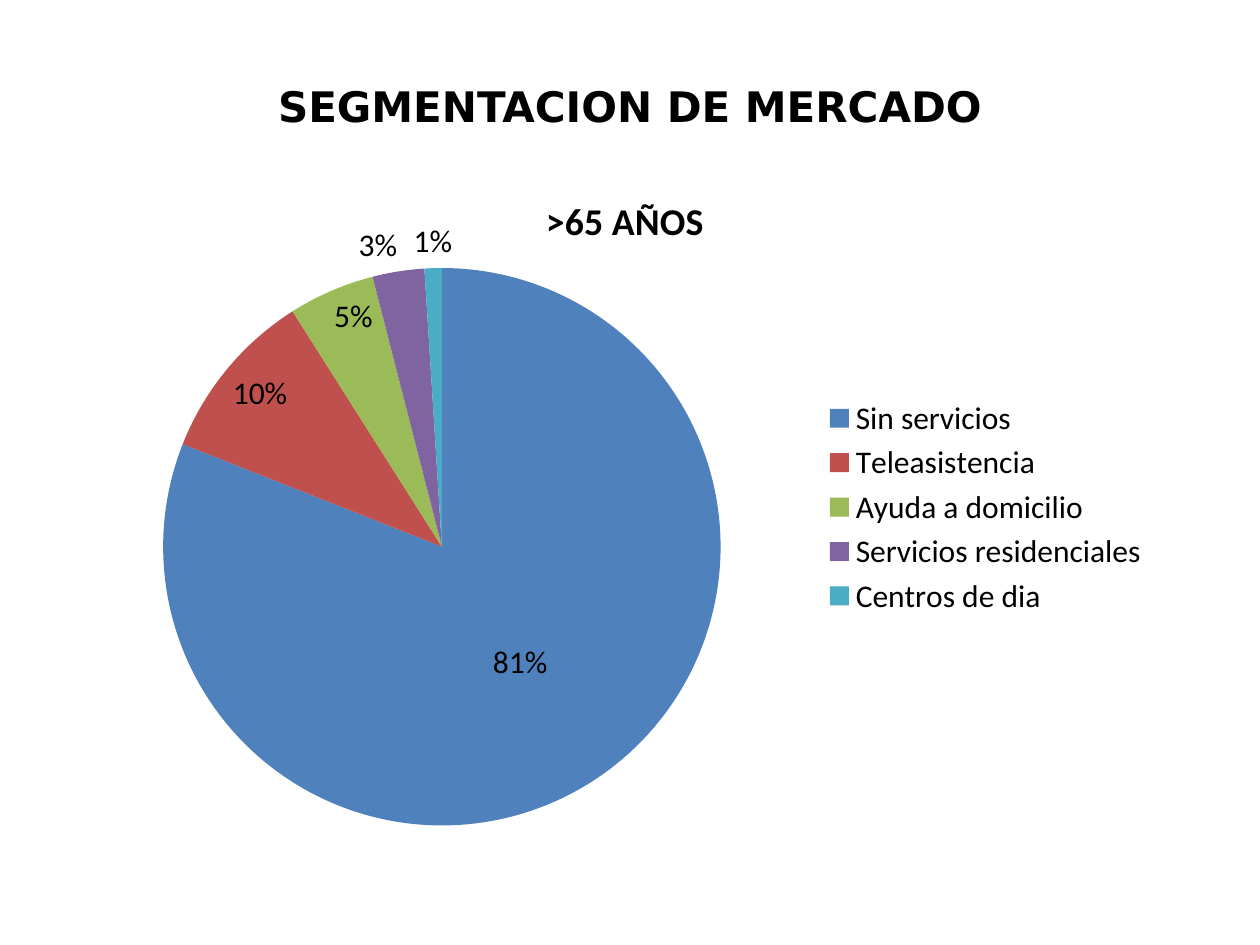
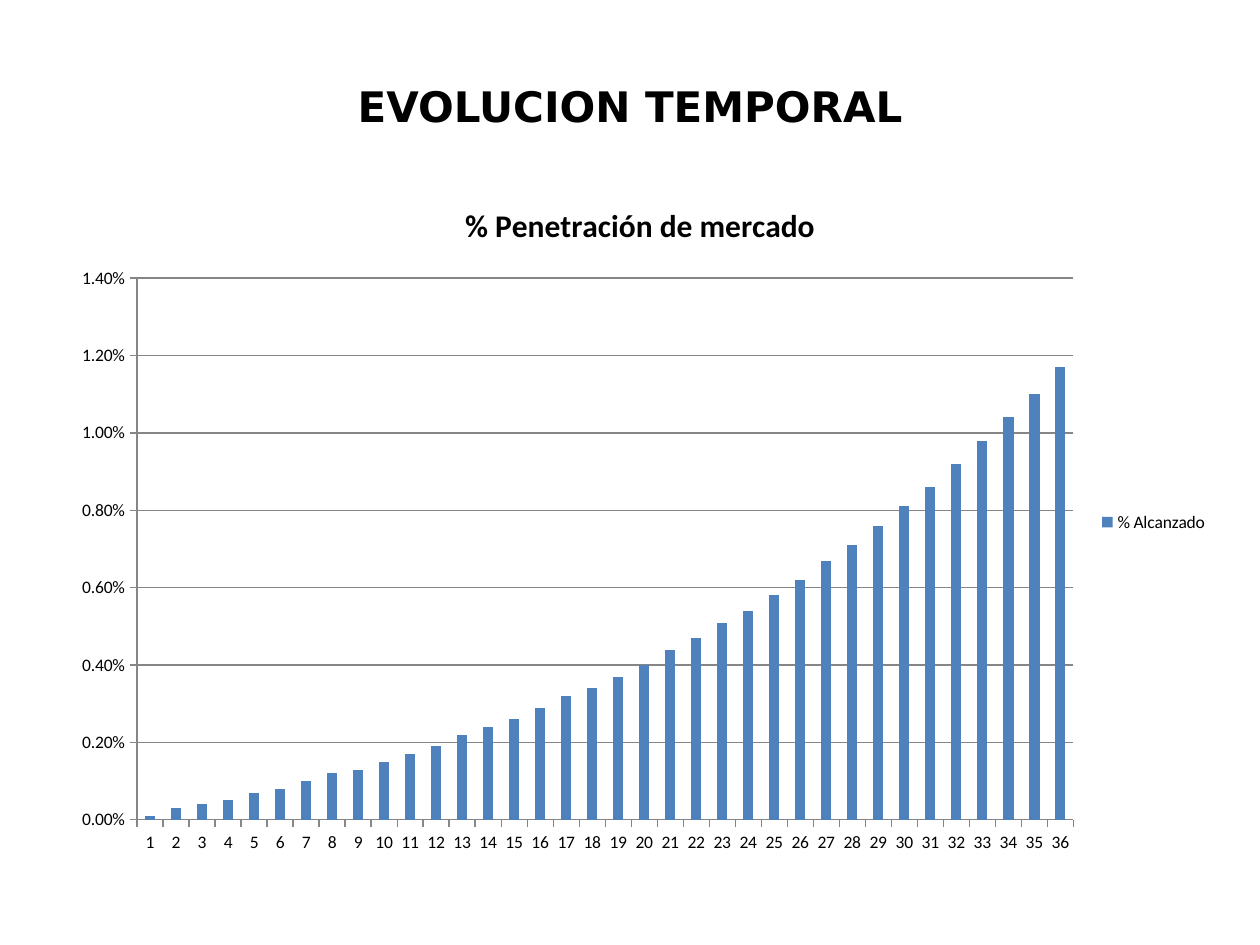
from dataclasses import dataclass

from lxml.etree import SubElement
from pptx import Presentation
from pptx.chart.data import CategoryChartData
from pptx.dml.color import RGBColor
from pptx.enum.chart import XL_CHART_TYPE, XL_LABEL_POSITION, XL_LEGEND_POSITION, XL_TICK_MARK
from pptx.enum.text import MSO_ANCHOR, PP_ALIGN
from pptx.oxml.ns import qn
from pptx.util import Inches, Pt

SLIDE_WIDTH = Inches(10)
SLIDE_HEIGHT = Inches(7.5)
COLUMN = SLIDE_WIDTH / 100
ROW = SLIDE_HEIGHT / 75


@dataclass(frozen=True)
class Theme:
    title_font: str = "DejaVu Sans"
    chart_font: str = "Calibri"
    title_size: float = 24
    ink: str = "000000"
    grid: str = "868686"
    accents: tuple[str, ...] = ("4F81BD", "C0504D", "9BBB59", "8064A2", "4BACC6")


@dataclass(frozen=True)
class Frame:
    left: float
    top: float
    width: float
    height: float

    def lengths(self) -> tuple[int, int, int, int]:
        return (
            round(self.left * COLUMN),
            round(self.top * ROW),
            round(self.width * COLUMN),
            round(self.height * ROW),
        )


@dataclass(frozen=True)
class ChartPanel:
    kind: XL_CHART_TYPE
    frame: Frame
    plot_share: Frame
    heading: str
    heading_size: float
    text_size: float
    series_name: str
    categories: tuple[str, ...]
    values: tuple[float, ...]
    number_format: str = "General"


THEME = Theme()
TITLE_FRAME = Frame(0, 5.9, 100, 5)

SEGMENTS = ChartPanel(
    kind=XL_CHART_TYPE.PIE,
    frame=Frame(7, 13.3, 85.2, 53.9),
    plot_share=Frame(0.056, 0.148, 0.547, 0.821),
    heading=">65 AÑOS",
    heading_size=21.6,
    text_size=18,
    series_name="Series 1",
    categories=(
        "Sin servicios",
        "Teleasistencia",
        "Ayuda a domicilio",
        "Servicios residenciales",
        "Centros de dia",
    ),
    values=(81, 10, 5, 3, 1),
)
SEGMENT_LABEL_POSITIONS = (
    XL_LABEL_POSITION.CENTER,
    XL_LABEL_POSITION.INSIDE_END,
    XL_LABEL_POSITION.INSIDE_END,
    XL_LABEL_POSITION.OUTSIDE_END,
    XL_LABEL_POSITION.OUTSIDE_END,
)

PENETRATION = ChartPanel(
    kind=XL_CHART_TYPE.COLUMN_CLUSTERED,
    frame=Frame(4.7, 14.1, 92.2, 54.7),
    plot_share=Frame(0.067, 0.146, 0.806, 0.786),
    heading="% Penetración de mercado",
    heading_size=18,
    text_size=10,
    series_name="% Alcanzado",
    categories=tuple(str(month) for month in range(1, 37)),
    values=(
        0.0001, 0.0003, 0.0004, 0.0005, 0.0007, 0.0008, 0.001, 0.0012, 0.0013,
        0.0015, 0.0017, 0.0019, 0.0022, 0.0024, 0.0026, 0.0029, 0.0032, 0.0034,
        0.0037, 0.004, 0.0044, 0.0047, 0.0051, 0.0054, 0.0058, 0.0062, 0.0067,
        0.0071, 0.0076, 0.0081, 0.0086, 0.0092, 0.0098, 0.0104, 0.011, 0.0117,
    ),
    number_format="0.00%",
)


def format_font(font, *, name: str, size: float, bold: bool = False) -> None:
    font.name = name
    font.size = Pt(size)
    font.bold = bold
    font.color.rgb = RGBColor.from_string(THEME.ink)


def write_text(text_frame, text: str, *, name: str, size: float, bold: bool = True) -> None:
    para = text_frame.paragraphs[0]
    para.alignment = PP_ALIGN.CENTER
    span = para.add_run()
    span.text = text
    format_font(span.font, name=name, size=size, bold=bold)


def add_page(deck, title: str):
    page = deck.slides.add_slide(deck.slide_layouts[5])
    box = page.shapes.title
    box.left, box.top, box.width, box.height = TITLE_FRAME.lengths()
    box.text_frame.vertical_anchor = MSO_ANCHOR.MIDDLE
    write_text(box.text_frame, title, name=THEME.title_font, size=THEME.title_size)
    return page


def place_plot(chart, share: Frame) -> None:
    plot_area = chart._chartSpace.find(".//" + qn("c:plotArea"))
    for layout in plot_area.findall(qn("c:layout")):
        plot_area.remove(layout)
    layout = SubElement(plot_area, qn("c:layout"))
    plot_area.insert(0, layout)
    manual = SubElement(layout, qn("c:manualLayout"))
    settings = {
        "layoutTarget": "inner",
        "xMode": "edge",
        "yMode": "edge",
        "x": share.left,
        "y": share.top,
        "w": share.width,
        "h": share.height,
    }
    for tag, value in settings.items():
        SubElement(manual, qn(f"c:{tag}")).set("val", str(value))


def add_panel(page, panel: ChartPanel):
    data = CategoryChartData(number_format=panel.number_format)
    data.categories = panel.categories
    data.add_series(panel.series_name, panel.values)
    chart = page.shapes.add_chart(panel.kind, *panel.frame.lengths(), data).chart
    format_font(chart.font, name=THEME.chart_font, size=panel.text_size)
    chart.has_title = True
    chart.chart_title.include_in_layout = False
    write_text(
        chart.chart_title.text_frame,
        panel.heading,
        name=THEME.chart_font,
        size=panel.heading_size,
    )
    chart.has_legend = True
    chart.legend.position = XL_LEGEND_POSITION.RIGHT
    chart.legend.include_in_layout = False
    place_plot(chart, panel.plot_share)
    return chart


def paint(fill, color: str) -> None:
    fill.solid()
    fill.fore_color.rgb = RGBColor.from_string(color)


def style_segments(chart) -> None:
    chart.plots[0].vary_by_categories = True
    series = chart.plots[0].series[0]
    labels = series.data_labels
    labels.show_percentage = True
    labels.show_value = False
    labels.number_format = "0%"
    labels.number_format_is_linked = False
    for index, (color, position) in enumerate(zip(THEME.accents, SEGMENT_LABEL_POSITIONS)):
        point = series.points[index]
        paint(point.format.fill, color)
        format_font(point.data_label.font, name=THEME.chart_font, size=SEGMENTS.text_size)
        point.data_label.position = position
    for label in series._element.iter(qn("c:dLbl")):
        label.find(qn("c:showVal")).set("val", "0")
        label.find(qn("c:showPercent")).set("val", "1")


def style_penetration(chart) -> None:
    plot = chart.plots[0]
    plot.vary_by_categories = False
    plot.gap_width = 150
    paint(plot.series[0].format.fill, THEME.accents[0])
    values = chart.value_axis
    values.minimum_scale, values.maximum_scale, values.major_unit = 0, 0.014, 0.002
    values.has_major_gridlines = True
    values.tick_labels.number_format = PENETRATION.number_format
    values.tick_labels.number_format_is_linked = False
    for axis in (chart.category_axis, values):
        axis.major_tick_mark = XL_TICK_MARK.OUTSIDE
        axis.minor_tick_mark = XL_TICK_MARK.NONE
    for rule in (chart.category_axis, values, values.major_gridlines):
        rule.format.line.color.rgb = RGBColor.from_string(THEME.grid)
        rule.format.line.width = Pt(0.75)


def main() -> None:
    deck = Presentation()
    deck.slide_width = SLIDE_WIDTH
    deck.slide_height = SLIDE_HEIGHT
    style_segments(add_panel(add_page(deck, "SEGMENTACION DE MERCADO"), SEGMENTS))
    style_penetration(add_panel(add_page(deck, "EVOLUCION TEMPORAL"), PENETRATION))
    deck.save("out.pptx")


if __name__ == "__main__":
    main()
